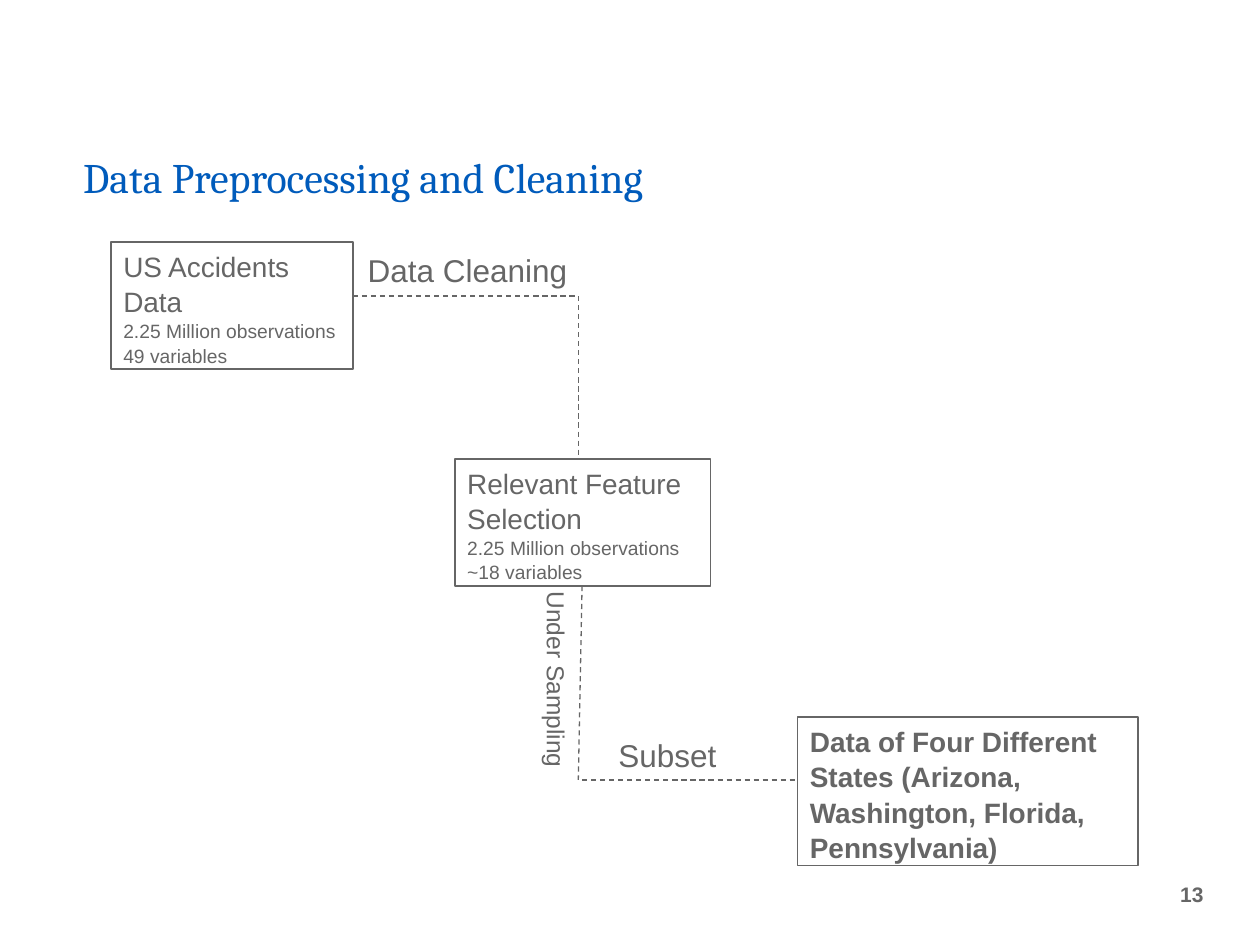
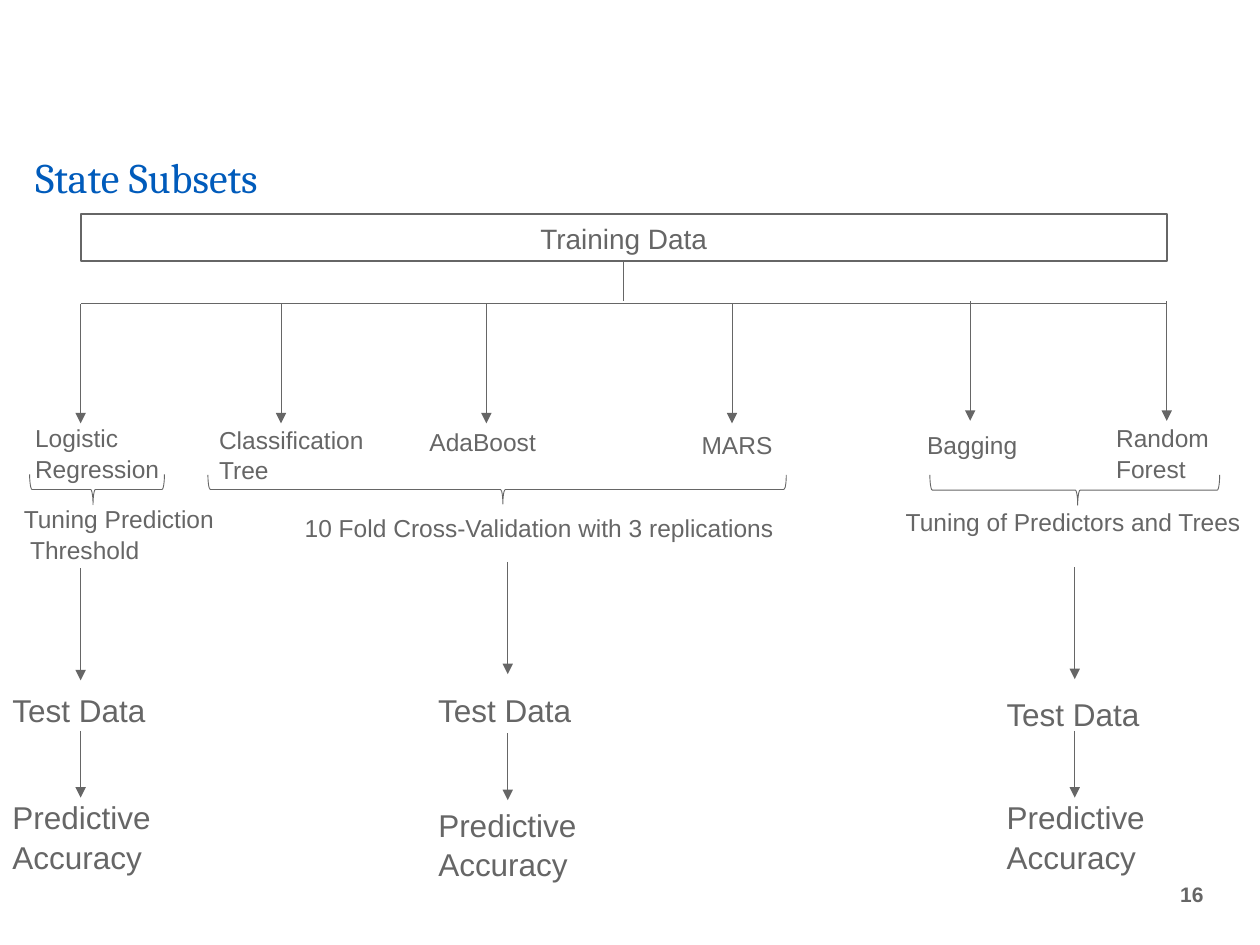
from lxml import etree
from pptx import Presentation
from pptx import util as u
from pptx.dml.color import RGBColor
from pptx.enum import dml, shapes, text
from pptx.oxml.ns import qn

PX = 9144  # EMU in one px, 100 px to the inch
GREY, BLUE = "666666", "005BBB"


def px(*lengths):
    return [length * PX for length in lengths]


def color(hex_string):
    return RGBColor.from_string(hex_string)


class Page:
    """Holds the deck's style and the slide being drawn."""

    body_font, title_font = "Arial", "Cambria"
    line_spacing = 1.05

    def __init__(self, deck):
        self.deck = deck
        self.slide = None

    def start(self, title, left, width, number):
        self.slide = self.deck.slides.add_slide(self.deck.slide_layouts[5])
        heading = self.slide.shapes.title
        heading.left, heading.top, heading.width, heading.height = px(left, 113, width, 50)
        self.set_text(heading, [(title, 24)], self.title_font, BLUE)
        self.label([(number, 12)], 906, 680, 59, 58, bold=True,
                   align=text.PP_ALIGN.RIGHT, anchor=text.MSO_ANCHOR.MIDDLE)

    def set_text(self, box, lines, font=body_font, ink=GREY, bold=False, wrap=True,
                 align=text.PP_ALIGN.LEFT, anchor=text.MSO_ANCHOR.TOP):
        """Fill a shape with (wording, size) paragraphs."""
        frame = box.text_frame
        frame.word_wrap = wrap
        frame.auto_size = text.MSO_AUTO_SIZE.NONE
        frame.vertical_anchor = anchor
        for index, (wording, size) in enumerate(lines):
            para = frame.add_paragraph() if index else frame.paragraphs[0]
            para.text = wording
            para.alignment = align
            para.line_spacing = self.line_spacing
            para.font.name, para.font.size = font, u.Pt(size)
            para.font.bold = bold
            para.font.color.rgb = color(ink)

    def label(self, lines, left, top, width, height, rotation=0, **style):
        box = self.slide.shapes.add_textbox(*px(left, top, width, height))
        box.rotation = rotation
        self.set_text(box, lines, **{"wrap": False, **style})
        return box

    def outline(self, kind, left, top, width, height, weight):
        shape = self.slide.shapes.add_shape(kind, *px(left, top, width, height))
        shape.shadow.inherit = False
        shape.fill.background()
        shape.line.color.rgb = color(GREY)
        shape.line.width = u.Pt(weight)
        return shape

    def box(self, lines, left, top, width, height, **style):
        shape = self.outline(shapes.MSO_SHAPE.RECTANGLE, left, top, width, height, 1)
        self.set_text(shape, lines, **style)

    def brace(self, left, top, width, height, point):
        """Draw a brace that opens upwards within the given frame."""
        shift = (width - height) // 2
        shape = self.outline(shapes.MSO_SHAPE.RIGHT_BRACE, left + shift, top - shift,
                             height, width, 0.5)
        shape.rotation = 90
        shape.adjustments[0], shape.adjustments[1] = 0.08, point

    def line(self, x1, y1, x2, y2, weight=0.5, dashed=False):
        line = self.slide.shapes.add_connector(
            shapes.MSO_CONNECTOR.STRAIGHT, *px(x1, y1, x2, y2))
        line.line.color.rgb = color(GREY)
        line.line.width = u.Pt(weight)
        if dashed:
            line.line.dash_style = dml.MSO_LINE.DASH
        etree.SubElement(line._element.spPr, qn("a:effectLst"))
        return line

    def arrow(self, x1, y1, x2, y2):
        stroke = self.line(x1, y1, x2, y2).get_or_add_ln()
        etree.SubElement(stroke, qn("a:tailEnd"), type="triangle")


def draw_preprocessing(page):
    page.start("Data Preprocessing and Cleaning", 56, 911, "13")
    for heading, variables, left, top, width in [
            ("US Accidents Data", "49 variables", 88, 192, 192),
            ("Relevant Feature Selection", "~18 variables", 361, 364, 203)]:
        page.box([(heading, 16), ("2.25 Million observations", 11), (variables, 11)],
                 left, top, width, 101)
    page.box([("Data of Four Different States (Arizona, Washington, Florida, "
               "Pennsylvania)", 16)], 633, 569, 270, 118, bold=True)
    for ends in [(280, 235, 459, 235), (459, 235, 459, 363),
                 (462, 465, 459, 619), (462, 619, 633, 619)]:
        page.line(*ends, weight=0.75, dashed=True)
    page.label([("Subset", 18)], 481, 578, 99, 40)
    page.label([("Data Cleaning", 18)], 282, 193, 180, 40)
    page.label([("Under Sampling", 14)], 358, 527, 169, 34, rotation=90)


def draw_state_subsets(page):
    page.start("State Subsets", 18, 950, "16")
    page.box([("Training Data", 16)], 64, 170, 862, 37, align=text.PP_ALIGN.CENTER)
    page.line(495, 207, 495, 239)
    page.line(926, 241, 64, 241)

    models = [  # wording, label frame, arrow x, arrow top
        (["Logistic", "Regression"], (18, 330, 130, 57), 64, 241),
        (["Classification", "Tree"], (164, 331, 136, 57), 223, 241),
        (["AdaBoost"], (331, 333, 105, 34), 386, 241),
        (["MARS"], (547, 335, 77, 34), 581, 241),
        (["Bagging"], (726, 335, 92, 34), 770, 239),
        (["Random", "Forest"], (876, 330, 100, 57), 926, 239)]
    for words, frame, x, top in models:
        page.arrow(x, top, x, top + 95)
        page.label([(word, 14) for word in words], *frame)

    page.brace(24, 376, 107, 24, 0.53)
    page.brace(165, 377, 459, 23, 0.49)
    page.brace(738, 377, 230, 24, 0.49)
    tuning = page.label([("Tuning Prediction", 14), ("Threshold", 14)], 9, 394, 172, 57)
    tuning.text_frame.paragraphs[1]._p.get_or_add_pPr().set("marL", str(5 * PX))
    page.label([("10 Fold Cross-Validation with 3 replications", 14)], 232, 401, 394, 34)
    page.label([("Tuning of Predictors and Trees", 14)], 709, 396, 287, 34)

    branches = [  # label left, arrow x, then tops from the first arrow downwards
        (0, 64, 451, 542, 580, 627),
        (338, 403, 446, 542, 582, 633),
        (789, 853, 450, 545, 580, 627)]
    for left, x, tuned, test, tested, accuracy in branches:
        page.arrow(x, tuned, x, tuned + 89)
        page.label([("Test Data", 18)], left, test, 127, 40)
        page.arrow(x, tested, x, tested + 53)
        page.label([("Predictive", 18), ("Accuracy", 18)], left, accuracy, 138, 71)


def main():
    deck = Presentation()
    deck.slide_width, deck.slide_height = px(1000, 750)
    page = Page(deck)
    draw_preprocessing(page)
    draw_state_subsets(page)
    deck.save("out.pptx")


if __name__ == "__main__":
    main()
